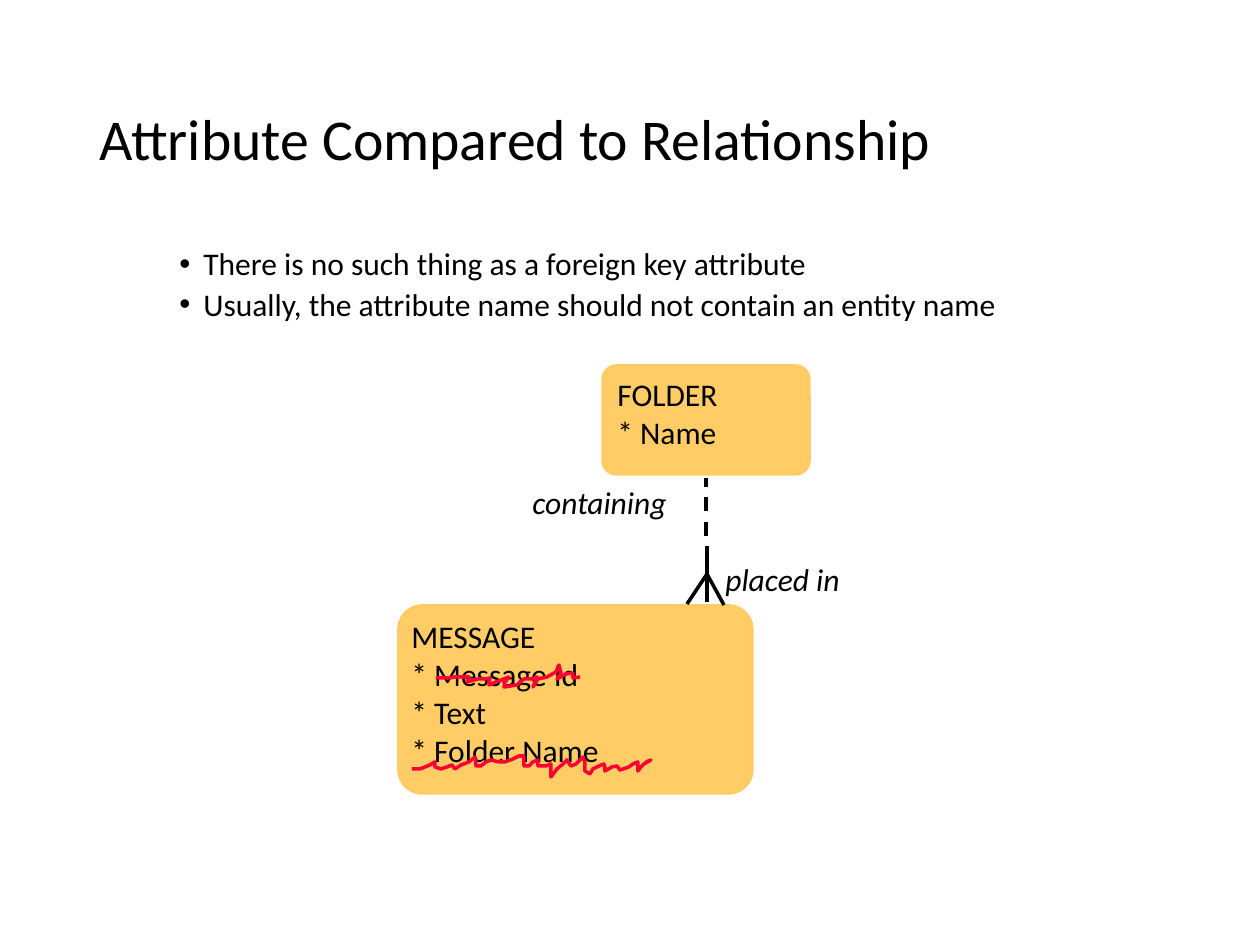
from dataclasses import dataclass

from lxml import etree
from pptx import Presentation
from pptx.dml.color import RGBColor
from pptx.enum.dml import MSO_LINE
from pptx.enum.shapes import MSO_CONNECTOR, MSO_SHAPE
from pptx.enum.text import MSO_ANCHOR, MSO_AUTO_SIZE
from pptx.oxml.ns import qn
from pptx.util import Pt

SCALE = 914400 / 126  # EMU per pixel


def emu(pixels):
    return round(pixels * SCALE)


@dataclass(frozen=True)
class Theme:
    font: str = "Calibri"
    title_size: int = 33
    text_size: int = 18
    line_width: int = 2
    ink: RGBColor = RGBColor(0x00, 0x00, 0x00)
    entity_fill: RGBColor = RGBColor(0xFF, 0xCC, 0x66)
    entity_line: RGBColor = RGBColor(0xFF, 0xCB, 0x65)
    strike: RGBColor = RGBColor(0xFF, 0x00, 0x33)


class Diagram:
    def __init__(self, slide, theme):
        self.slide = slide
        self.theme = theme

    def set_line(self, line, color):
        line.color.rgb = color
        line.width = Pt(self.theme.line_width)

    def text(self, box, paragraphs, size=None, italic=False, line_spacing=None,
             space_before=None, anchor=MSO_ANCHOR.TOP, bullets=False, grow=False):
        shape = self.slide.shapes.add_textbox(*map(emu, box))
        frame = shape.text_frame
        frame.word_wrap = True
        frame.vertical_anchor = anchor
        if grow:
            frame.auto_size = MSO_AUTO_SIZE.SHAPE_TO_FIT_TEXT
        for index, wording in enumerate(paragraphs):
            paragraph = frame.add_paragraph() if index else frame.paragraphs[0]
            paragraph.text = wording
            paragraph.line_spacing = line_spacing
            paragraph.space_before = space_before
            font = paragraph.font
            font.name = self.theme.font
            font.size = Pt(size or self.theme.text_size)
            font.italic = italic
            font.color.rgb = self.theme.ink
            if bullets:
                self.bullet(paragraph)

    def bullet(self, paragraph, margin=71, hanging=24):
        properties = paragraph._p.get_or_add_pPr()
        properties.set("marL", str(emu(margin)))
        properties.set("indent", str(-emu(hanging)))
        mark_font = etree.Element(qn("a:buFont"), typeface="Arial")
        mark = etree.Element(qn("a:buChar"), char="•")
        # Bullet marks stand before the default run properties
        defaults = properties.find(qn("a:defRPr"))
        defaults.addprevious(mark_font)
        defaults.addprevious(mark)

    def entity(self, box, text_box, wording):
        shape = self.slide.shapes.add_shape(MSO_SHAPE.ROUNDED_RECTANGLE, *map(emu, box))
        shape.adjustments[0] = 0.125
        shape.shadow.inherit = False
        shape.fill.solid()
        shape.fill.fore_color.rgb = self.theme.entity_fill
        self.set_line(shape.line, self.theme.entity_line)
        self.text(text_box, [wording], grow=True)

    def connector(self, start, end, dashed=False):
        line = self.slide.shapes.add_connector(
            MSO_CONNECTOR.STRAIGHT, *map(emu, start + end))
        self.set_line(line.line, self.theme.ink)
        if dashed:
            line.line.dash_style = MSO_LINE.DASH
        etree.SubElement(line._element.spPr, qn("a:effectLst"))

    def scribble(self, points):
        builder = self.slide.shapes.build_freeform(*points[0], scale=SCALE)
        builder.add_line_segments(points[1:], close=False)
        shape = builder.convert_to_shape()
        shape.shadow.inherit = False
        shape.fill.background()
        self.set_line(shape.line, self.theme.strike)


FOLDER_NAME_STRIKE = [
    (412, 769), (420, 769), (425, 767), (430, 765), (435, 762), (435, 767), (441, 769),
    (447, 767), (452, 765), (455, 769), (461, 765), (469, 762), (475, 757), (476, 762),
    (476, 766), (481, 766), (486, 762), (491, 760), (499, 762), (505, 762), (513, 759),
    (519, 756), (524, 756), (524, 762), (524, 766), (529, 766), (533, 762), (538, 760),
    (538, 766), (546, 766), (551, 764), (551, 767), (551, 774), (551, 777), (557, 769),
    (562, 765), (567, 760), (571, 766), (576, 764), (583, 757), (585, 762), (585, 767),
    (585, 771), (590, 774), (593, 769), (599, 766), (604, 764), (605, 767), (605, 771),
    (612, 767), (617, 766), (620, 770), (629, 767), (633, 764), (638, 762), (638, 767),
    (638, 771), (641, 767), (644, 764), (651, 760), (646, 762),
]
MESSAGE_ID_STRIKE = [
    (436, 678), (444, 678), (449, 678), (455, 677), (462, 677), (469, 677), (467, 682),
    (478, 679), (485, 679), (490, 678), (489, 685), (496, 682), (504, 679), (509, 677),
    (505, 682), (504, 687), (517, 685), (524, 679), (532, 679), (537, 677), (533, 687),
    (538, 679), (547, 677), (556, 672), (559, 665), (561, 673), (557, 679), (566, 674),
    (573, 673), (573, 678), (580, 677),
]

presentation = Presentation()
presentation.slide_width = emu(1260)
presentation.slide_height = emu(945)
theme = Theme()
diagram = Diagram(presentation.slides.add_slide(presentation.slide_layouts[6]), theme)

# Title and bullets
diagram.text((87, 50, 1086, 183), ["Attribute Compared to Relationship"],
             size=theme.title_size, line_spacing=0.9, anchor=MSO_ANCHOR.MIDDLE)
diagram.text((120, 242, 1021, 475),
             ["There is no such thing as a foreign key attribute",
              "Usually, the attribute name should not contain an entity name"],
             line_spacing=0.9, space_before=Pt(3.8), bullets=True)

# Entities
diagram.entity((399, 606, 353, 187), (399, 611, 335, 164),
               "MESSAGE\v* Message Id\v* Text\v* Folder Name")
diagram.entity((603, 366, 206, 108), (605, 369, 206, 88), "FOLDER\v* Name")

# Relationship with its crow's foot
fork = (707, 574)
diagram.connector((707, 602), (707, 546))
diagram.connector((706, 536), (706, 478), dashed=True)
for toe in ((687, 604), (724, 605)):
    diagram.connector(toe, fork)
for left, top, label in ((713, 554, "placed in"), (520, 477, "containing")):
    diagram.text((left, top, 214, 50), [label], italic=True, grow=True)

# Struck-out attributes
for strike in (FOLDER_NAME_STRIKE, MESSAGE_ID_STRIKE):
    diagram.scribble(strike)

presentation.save("out.pptx")
